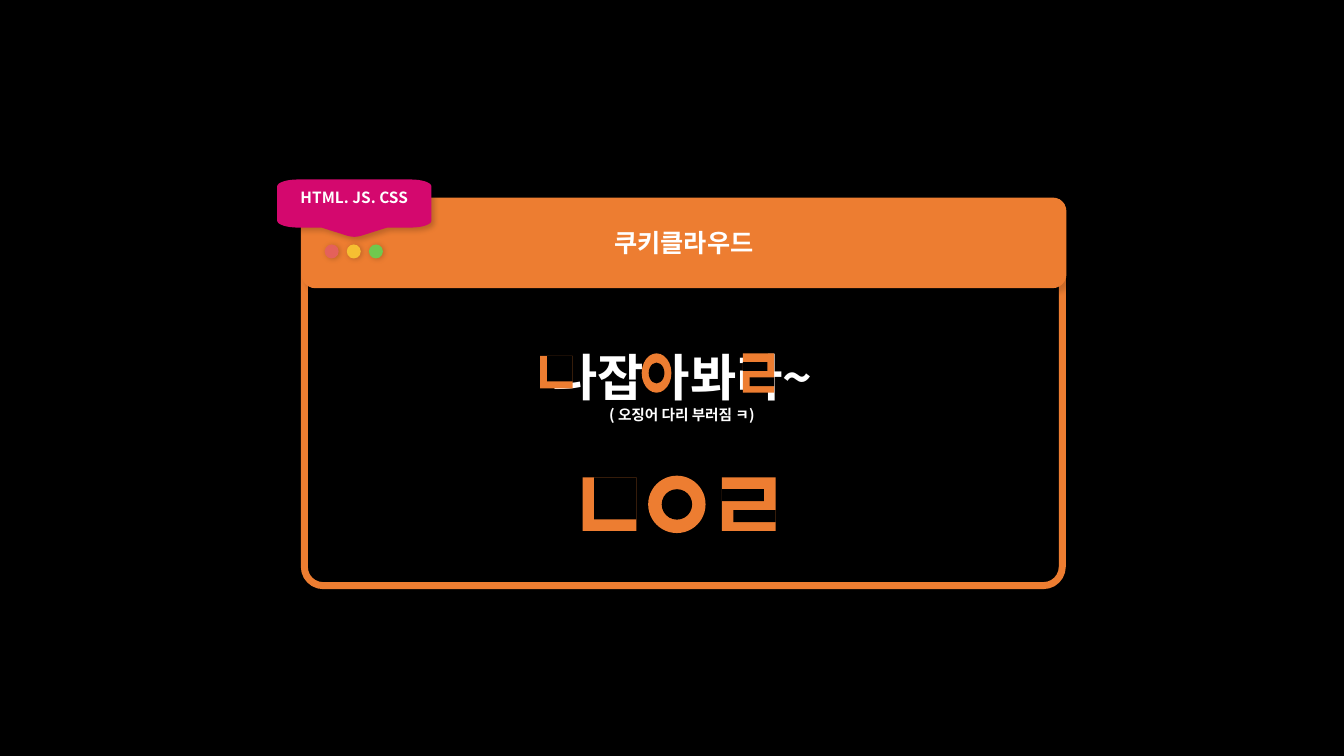
from math import cos, pi, sin

from lxml import etree
from pptx import Presentation
from pptx.dml.color import RGBColor
from pptx.enum.shapes import MSO_SHAPE as Preset
from pptx.enum.text import MSO_ANCHOR as Anchor, MSO_AUTO_SIZE as AutoSize, PP_ALIGN as Align
from pptx.oxml.ns import qn
from pptx.util import Pt

COLORS = {
    "black": "000000", "white": "FFFFFF", "orange": "ED7D31", "pink": "D4086E",
    "red": "E4615B", "yellow": "F6BF32", "green": "70C84E",
}
FONT = "Noto Sans CJK KR"

# Cut-outs of each consonant, as fractions of its box: left, top, width, height
NIEUN = (Preset.RECTANGLE, [(0.215, 0, 0.785, 0.785)])
IEUNG = (Preset.OVAL, [(0.235, 0.235, 0.53, 0.53)])
RIEUL = (Preset.RECTANGLE, [(0, 0.22, 0.785, 0.225), (0.215, 0.61, 0.785, 0.225)])


def rgb(name):
    return RGBColor.from_string(COLORS[name])


def paint(shape, color):
    shape.shadow.inherit = False
    shape.fill.solid()
    shape.fill.fore_color.rgb = rgb(color)
    shape.line.fill.background()


def add_preset(shapes, preset, left, top, width, height, color):
    shape = shapes.add_shape(preset, Pt(left), Pt(top), Pt(width), Pt(height))
    paint(shape, color)
    return shape


def cast_shadow(shape, opacity, distance):
    """Give a painted shape a soft black shadow towards the lower right."""
    effects = shape.element.spPr.find(qn("a:effectLst"))
    shadow = etree.SubElement(
        effects, qn("a:outerShdw"), blurRad=str(Pt(4)), dist=str(Pt(distance)),
        dir="2700000", algn="tl", rotWithShape="0")
    color = etree.SubElement(shadow, qn("a:srgbClr"), val=COLORS["black"])
    etree.SubElement(color, qn("a:alpha"), val=str(opacity * 1000))


def write_lines(shape, lines, anchor=Anchor.TOP, wrap=False):
    """Fill a shape with centred bold lines, given as (text, size) pairs."""
    frame = shape.text_frame
    frame.word_wrap = wrap
    frame.vertical_anchor = anchor
    for index, (text, size) in enumerate(lines):
        para = frame.add_paragraph() if index else frame.paragraphs[0]
        para.alignment = Align.CENTER
        para.line_spacing = 1.0
        span = para.add_run()
        span.text = text
        span.font.size = Pt(size)
        span.font.bold = True
        span.font.name = FONT
        span.font.color.rgb = rgb("white")
        etree.SubElement(span.font._element, qn("a:ea"), typeface=FONT)
    return frame


def add_window(page):
    frame = add_preset(page.shapes, Preset.ROUND_2_SAME_RECTANGLE,
                       217.4, 144, 541.4, 274.3, "black")
    frame.adjustments[0], frame.adjustments[1] = 0.02, 0.049
    frame.fill.background()
    frame.line.color.rgb = rgb("orange")
    frame.line.width = Pt(5)
    cast_shadow(frame, 15, 3)

    bar = add_preset(page.shapes, Preset.ROUNDED_RECTANGLE,
                     215.3, 141.1, 546.5, 64.8, "orange")
    bar.adjustments[0] = 0.155
    cast_shadow(bar, 15, 3)

    title = page.shapes.title
    title.left, title.top, title.width, title.height = bar.left, bar.top, bar.width, bar.height
    page.shapes.element.append(title.element)
    frame = write_lines(title, [("쿠키클라우드", 18)], Anchor.MIDDLE, wrap=True)
    frame.auto_size = AutoSize.NONE


def add_tag(page):
    """Draw the pink label with rounded corners and a pointer below."""
    left, top, right, bottom = 198, 128.2, 308.2, 162.6
    radius_x, radius_y, steps = 14.8, 5, 8

    def corner(x, y, start):
        angles = [start + pi / 2 * step / steps for step in range(steps + 1)]
        return [(x + radius_x * cos(a), y + radius_y * sin(a)) for a in angles]

    near, far = left + radius_x, right - radius_x
    high, low = top + radius_y, bottom - radius_y
    pointer = [(276.5, bottom), (257.8, 168.5), (255.5, 169), (253.1, 169.2),
               (250.7, 169), (248.4, 168.5), (229.7, bottom)]
    outline = (corner(near, high, pi) + corner(far, high, 1.5 * pi)
               + corner(far, low, 0) + pointer + corner(near, low, pi / 2))
    points = [(Pt(x), Pt(y)) for x, y in outline]
    builder = page.shapes.build_freeform(*points[0])
    builder.add_line_segments(points[1:], close=True)
    tag = builder.convert_to_shape()
    paint(tag, "pink")
    cast_shadow(tag, 20, 3)
    write_lines(tag, [("HTML. JS. CSS", 11)]).margin_top = Pt(6)


def add_buttons(page):
    for index, color in enumerate(("red", "yellow", "green")):
        button = add_preset(page.shapes, Preset.OVAL, 231.9 + 15.8 * index, 174.6, 10, 10, color)
        cast_shadow(button, 20, 1)


def add_message(page):
    box = page.shapes.add_textbox(Pt(375.8), Pt(243.4), Pt(222.5), Pt(65.5))
    frame = write_lines(box, [("나잡아봐라~", 36), ("( 오징어 다리 부러짐 ㅋ)", 10.5)])
    frame.auto_size = AutoSize.SHAPE_TO_FIT_TEXT


def add_consonant(page, letter, left, top, width, height):
    preset, cutouts = letter
    group = page.shapes.add_group_shape()
    add_preset(group.shapes, preset, left, top, width, height, "orange")
    for x, y, w, h in cutouts:
        add_preset(group.shapes, preset, left + x * width, top + y * height,
                   w * width, h * height, "black")


def main():
    deck = Presentation()
    deck.slide_width, deck.slide_height = Pt(960), Pt(540)
    page = deck.slides.add_slide(deck.slide_layouts[5])
    page.background.fill.solid()
    page.background.fill.fore_color.rgb = rgb("black")

    add_window(page)
    add_tag(page)
    add_message(page)
    add_buttons(page)
    for letter, *place in (
        (IEUNG, 463, 339.8, 41, 41),
        (NIEUN, 416.2, 340.9, 38.4, 38.4),
        (RIEUL, 515.6, 340.9, 38.4, 38.4),
        (NIEUN, 385.9, 254.2, 23.2, 23.2),
        (IEUNG, 458.4, 252.4, 21.2, 28.1),
        (RIEUL, 530.7, 252.4, 22.2, 28.1),
    ):
        add_consonant(page, letter, *place)
    deck.save("out.pptx")


if __name__ == "__main__":
    main()
